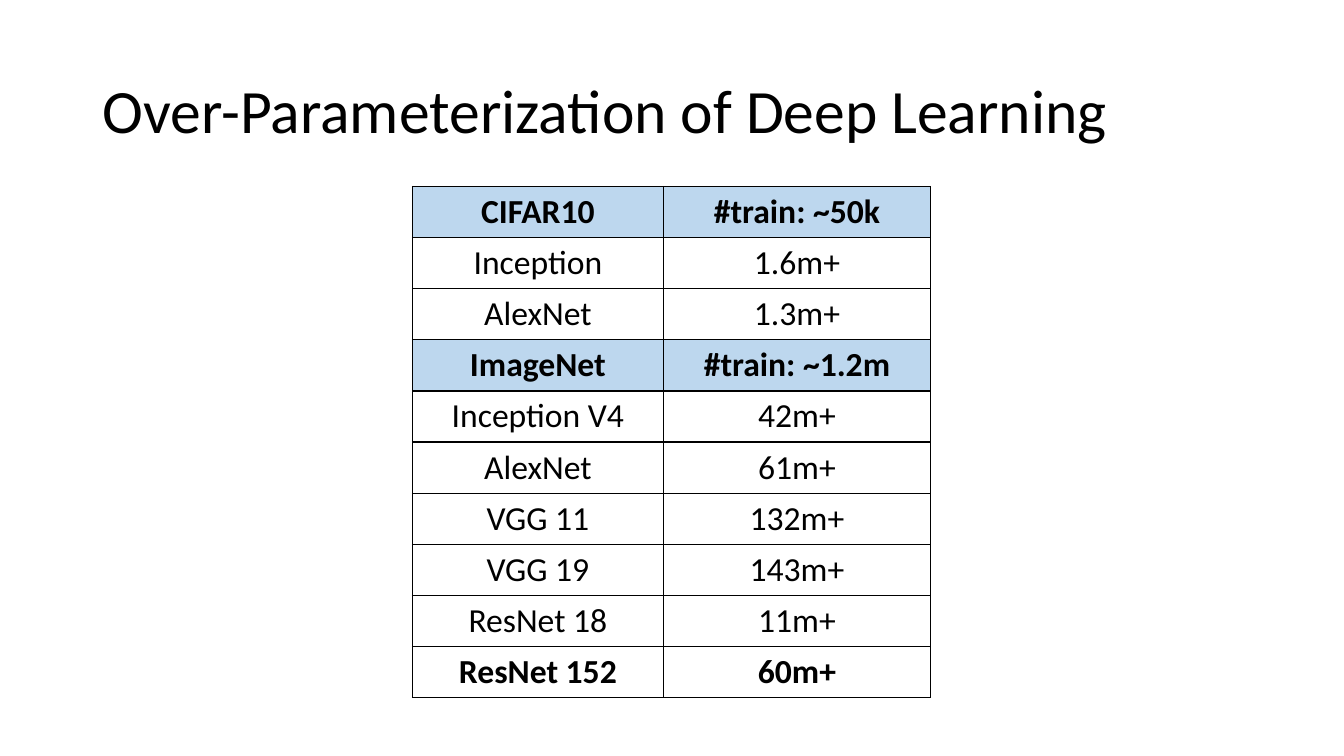
from lxml.etree import SubElement
from pptx import Presentation
from pptx.dml.color import RGBColor
from pptx.enum.text import MSO_ANCHOR, PP_ALIGN
from pptx.oxml.ns import qn
from pptx.util import Inches, Pt

COLORS = {"text": "000000", "border": "000000", "header": "BDD7EE"}
ROWS = [
    ("CIFAR10", "#train: ~50k"),
    ("Inception", "1.6m+"),
    ("AlexNet", "1.3m+"),
    ("ImageNet", "#train: ~1.2m"),
    ("Inception V4", "42m+"),
    ("AlexNet", "61m+"),
    ("VGG 11", "132m+"),
    ("VGG 19", "143m+"),
    ("ResNet 18", "11m+"),
    ("ResNet 152", "60m+"),
]
HEADER_ROWS = (0, 3)
BOLD_ROWS = (*HEADER_ROWS, len(ROWS) - 1)


def write_text(tf, text, size, align=PP_ALIGN.LEFT, bold=False, spacing=1.0):
    p = tf.paragraphs[0]
    p.alignment = align
    p.line_spacing = spacing
    r = p.add_run()
    r.text = text
    r.font.name = "Calibri"
    r.font.size = Pt(size)
    r.font.bold = bold
    r.font.color.rgb = RGBColor.from_string(COLORS["text"])


def add_borders(cell):
    tcPr = cell._tc.get_or_add_tcPr()
    for side in ("a:lnL", "a:lnR", "a:lnT", "a:lnB"):
        ln = SubElement(tcPr, qn(side), w=str(Pt(1)))
        fill = SubElement(ln, qn("a:solidFill"))
        SubElement(fill, qn("a:srgbClr"), val=COLORS["border"])


prs = Presentation()
prs.slide_width = Inches(13.33)
prs.slide_height = Inches(7.5)
slide = prs.slides.add_slide(prs.slide_layouts[5])

title = slide.shapes.title
title.left, title.top = Inches(0.92), Inches(0.4)
title.width, title.height = Inches(11.5), Inches(1.45)
title.text_frame.vertical_anchor = MSO_ANCHOR.MIDDLE
write_text(title.text_frame, "Over-Parameterization of Deep Learning", size=44, spacing=0.9)

table = slide.shapes.add_table(
    len(ROWS), 2, Inches(4.09), Inches(1.85), Inches(5.14), Inches(5)
).table
table.first_row = False
table.horz_banding = False
table.columns[0].width = Inches(2.49)
table.columns[1].width = Inches(2.65)

for i, row in enumerate(ROWS):
    for j, text in enumerate(row):
        cell = table.cell(i, j)
        cell.vertical_anchor = MSO_ANCHOR.MIDDLE
        write_text(cell.text_frame, text, size=24, align=PP_ALIGN.CENTER, bold=i in BOLD_ROWS)
        add_borders(cell)
        if i in HEADER_ROWS:
            cell.fill.solid()
            cell.fill.fore_color.rgb = RGBColor.from_string(COLORS["header"])
        else:
            cell.fill.background()

prs.save("out.pptx")
